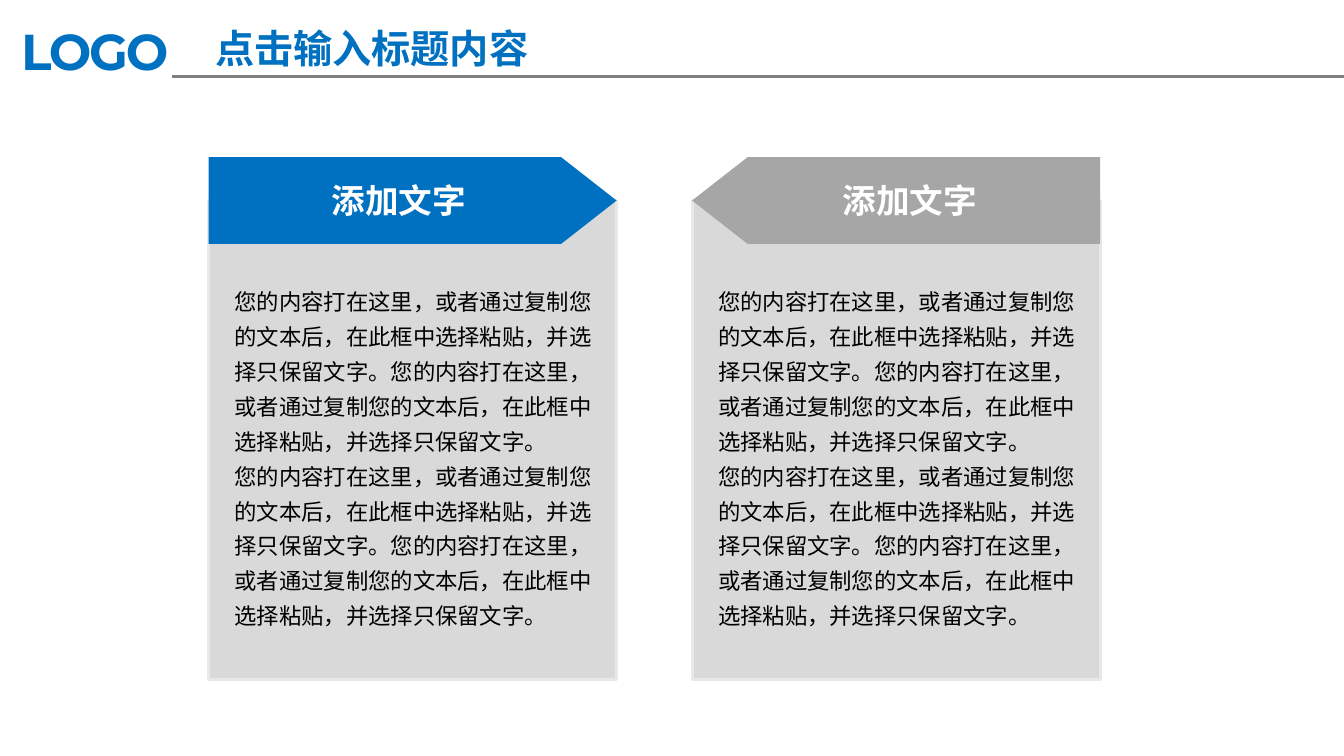
from dataclasses import dataclass

from lxml.etree import SubElement
from pptx import Presentation
from pptx.dml.color import RGBColor
from pptx.enum.shapes import MSO_CONNECTOR, MSO_SHAPE
from pptx.enum.text import MSO_ANCHOR, MSO_AUTO_SIZE, PP_ALIGN
from pptx.oxml.ns import qn
from pptx.util import Inches, Pt


@dataclass(frozen=True)
class Theme:
    """Colours, fonts and type sizes of the slide."""
    blue: str = "0070C0"
    grey: str = "A6A6A6"
    rule: str = "808080"
    panel: str = "D9D9D9"
    edge: str = "E8E8E6"
    white: str = "FFFFFF"
    black: str = "000000"
    logo_font: str = "Montserrat"
    font: str = "Noto Sans CJK SC"
    logo: int = 36
    title: int = 28
    heading: int = 24
    body: int = 16


THEME = Theme()
SENTENCE = "您的内容打在这里，或者通过复制您的文本后，在此框中选择粘贴，并选择只保留文字。"
PARAGRAPHS = [SENTENCE * 2] * 2


def set_all(target, values):
    """Set every attribute named in a dict of format values."""
    for name, value in values.items():
        setattr(target, name, value)


def write(tf, texts, size, color, frame=None, para=None, bold=False,
          font=THEME.font, spacing=None):
    """Fill a text frame with one formatted run per paragraph."""
    set_all(tf, {"word_wrap": True, **(frame or {})})
    for i, text in enumerate(texts):
        p = tf.add_paragraph() if i else tf.paragraphs[0]
        set_all(p, para or {})
        r = p.add_run()
        r.text = text
        set_all(r.font, {"size": Pt(size), "bold": bold, "name": font})
        r.font.color.rgb = RGBColor.from_string(color)
        rPr = r.font._element
        SubElement(rPr, qn("a:ea")).set("typeface", font)
        if spacing is not None:
            rPr.set("spc", str(int(spacing * 100)))


def add_text(s, box, texts, size, color, frame=None, **style):
    """Add a text box that grows to fit its text."""
    tf = s.shapes.add_textbox(*map(Inches, box)).text_frame
    frame = {"auto_size": MSO_AUTO_SIZE.SHAPE_TO_FIT_TEXT, **(frame or {})}
    write(tf, texts, size, color, frame, **style)


def add_box(s, kind, box, fill, line=None):
    """Add a flat filled shape, outlined only if a line colour is given."""
    sp = s.shapes.add_shape(kind, *map(Inches, box))
    sp.shadow.inherit = False
    sp.fill.solid()
    sp.fill.fore_color.rgb = RGBColor.from_string(fill)
    if line:
        sp.line.color.rgb = RGBColor.from_string(line)
        sp.line.width = Pt(2)
    else:
        sp.line.fill.background()
    return sp


def add_header(s, left, top, right):
    """Draw the logo text, the rule and the slide title."""
    insets = {"margin_left": Inches(0.13), "margin_right": Inches(0.13),
              "margin_top": Inches(0.07), "margin_bottom": Inches(0.07)}
    add_text(s, (left, top, 1.86, 0.74), ["LOGO"], THEME.logo, THEME.blue,
             insets, bold=True, font=THEME.logo_font, spacing=-1.5)
    y = Inches(top + 0.63)
    rule = s.shapes.add_connector(MSO_CONNECTOR.STRAIGHT, Inches(left + 1.63), y,
                                  Inches(right), y)
    rule.line.color.rgb = RGBColor.from_string(THEME.rule)
    rule.line.width = Pt(2)
    SubElement(rule._element.spPr, qn("a:effectLst"))
    add_text(s, (left + 1.81, top + 0.06, 3.6, 0.57), ["点击输入标题内容"],
             THEME.title, THEME.blue, para={"alignment": PP_ALIGN.CENTER}, bold=True)


def add_panel(s, left, top, width, height, color, flip):
    """Draw a text panel with an arrow heading across its top edge."""
    head = 0.86
    add_box(s, MSO_SHAPE.RECTANGLE,
            (left, top + head / 2, width, height - head / 2), THEME.panel, THEME.edge)
    arrow = add_box(s, MSO_SHAPE.PENTAGON, (left, top, width, head), color)
    arrow.adjustments[0] = 0.64
    if flip:
        arrow._element.spPr.xfrm.set("flipH", "1")
    write(arrow.text_frame, ["添加文字"], THEME.heading, THEME.white,
          {"word_wrap": False, "vertical_anchor": MSO_ANCHOR.MIDDLE},
          {"alignment": PP_ALIGN.CENTER}, bold=True)
    add_text(s, (left + 0.16, top + 1.17, width - 0.16, 3.6), PARAGRAPHS,
             THEME.body, THEME.black, para={"line_spacing": 1.3})


def main():
    """Build the slide and save it."""
    prs = Presentation()
    set_all(prs, {"slide_width": Inches(13.34), "slide_height": Inches(7.5)})
    s = prs.slides.add_slide(prs.slide_layouts[6])
    add_header(s, 0.08, 0.13, 13.34)
    for i, color in enumerate((THEME.blue, THEME.grey)):
        add_panel(s, 2.07 + i * 4.8, 1.56, 4.05, 5.18, color, flip=i == 1)
    prs.save("out.pptx")


if __name__ == "__main__":
    main()
